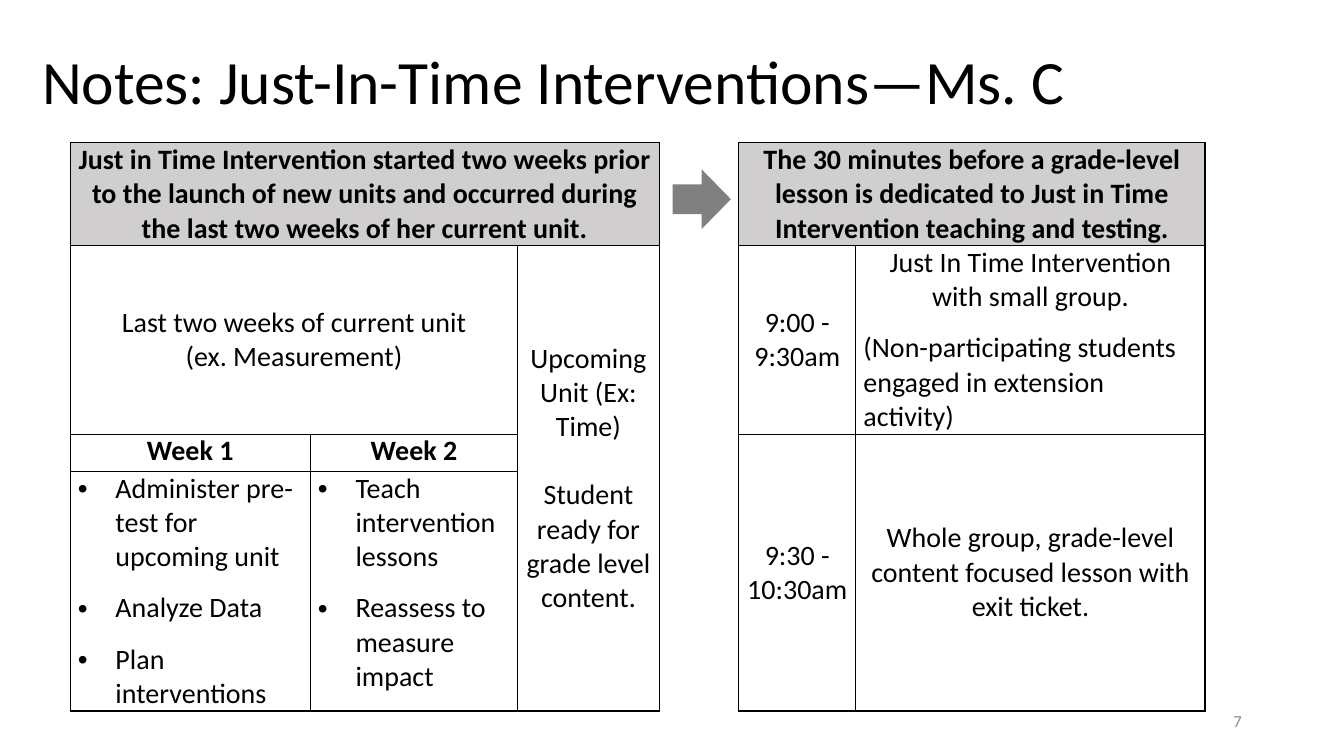
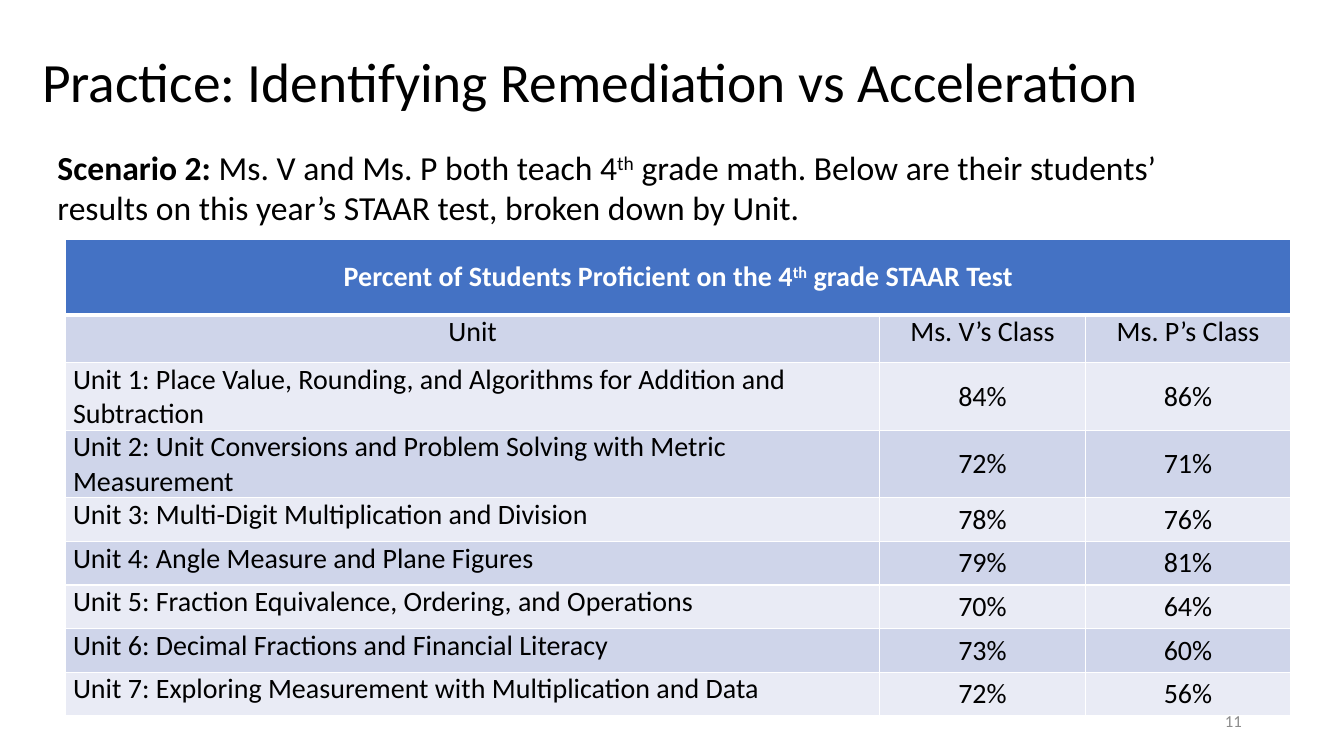
"""Build two slides: an intervention schedule and a table of test results."""
import pptx
import pptx.dml.color
import pptx.enum.shapes
import pptx.enum.text
import pptx.oxml
import pptx.oxml.ns
import pptx.util
from lxml import etree

Cm = pptx.util.Cm
Pt = pptx.util.Pt
RGB = pptx.dml.color.RGBColor
qn = pptx.oxml.ns.qn
LEFT, CENTER, RIGHT = (pptx.enum.text.PP_ALIGN.LEFT, pptx.enum.text.PP_ALIGN.CENTER,
                       pptx.enum.text.PP_ALIGN.RIGHT)
TOP, MIDDLE = pptx.enum.text.MSO_ANCHOR.TOP, pptx.enum.text.MSO_ANCHOR.MIDDLE

BLACK = RGB(0x00, 0x00, 0x00)
WHITE = RGB(0xFF, 0xFF, 0xFF)
GREY_HEAD = RGB(0xD0, 0xCE, 0xCE)
GREY_ARROW = RGB(0x80, 0x80, 0x80)
GREY_NUMBER = RGB(0x8C, 0x8C, 0x8C)
BLUE_HEAD = RGB(0x44, 0x72, 0xC4)
BANDS = [RGB(0xCF, 0xD5, 0xEA), RGB(0xE9, 0xEB, 0xF5)]
INDENT = Cm(0.95)


def write(tf, paras, aligns=(LEFT,), gap=12, bullet=False, line=None, size=20, bold=False, color=BLACK):
    """Write paragraphs; text between carets is superscript, between asterisks bold."""
    tf.word_wrap = True
    for i, text in enumerate(paras):
        p = tf.paragraphs[0] if i == 0 else tf.add_paragraph()
        if bullet:
            pPr = p._p.get_or_add_pPr()
            pPr.set("marL", str(INDENT))
            pPr.set("indent", str(-INDENT))
            etree.SubElement(pPr, qn("a:buFont")).set("typeface", "Arial")
            etree.SubElement(pPr, qn("a:buChar")).set("char", "•")
        fmt = {"alignment": aligns[min(i, len(aligns) - 1)], "line_spacing": line,
               "space_before": Pt(gap if i else 0), "space_after": Pt(0)}
        for name, value in fmt.items():
            setattr(p, name, value)
        for j, strong in enumerate(text.split("*")):
            for k, part in enumerate(strong.split("^")):
                if not part:
                    continue
                r = p.add_run()
                r.text = part
                fmt = {"name": "Calibri", "size": Pt(size), "bold": bold or j % 2 == 1}
                for name, value in fmt.items():
                    setattr(r.font, name, value)
                r.font.color.rgb = color
                if k % 2:
                    r._r.get_or_add_rPr().set("baseline", "30000")


def style_cell(cell, borders, fill=None):
    """Set margins, borders given as {side: (colour, points)}, and fill."""
    fmt = {"margin_left": Cm(0.19), "margin_right": Cm(0.19), "margin_top": 0, "margin_bottom": 0}
    for name, value in fmt.items():
        setattr(cell, name, value)
    tcPr = cell._tc.get_or_add_tcPr()
    for side in "LRTB":
        color, width = borders.get(side, (None, 0))
        ln = etree.SubElement(tcPr, qn("a:ln" + side), w=str(Pt(width)))
        if color is None:
            etree.SubElement(ln, qn("a:noFill"))
        else:
            solid = etree.SubElement(ln, qn("a:solidFill"))
            etree.SubElement(solid, qn("a:srgbClr"), val=str(color))
    if fill is None:
        cell.fill.background()
    else:
        cell.fill.solid()
        cell.fill.fore_color.rgb = fill


prs = pptx.Presentation()
prs.slide_width, prs.slide_height = Cm(33.87), Cm(19.05)

pages = [
    ("Notes: Just-In-Time Interventions—Ms. C", 44, "7",
     (1.77, 3.6), [6.05, 5.23, 3.56, 2.01, 2.95, 8.8], [2.59, 4.75, 0.94, 6.02]),
    ("Practice: Identifying Remediation vs Acceleration", 39.6, "11",
     (1.65, 6.03), [20.52, 5.18, 5.18], [1.9, 1.21, 1.7, 1.7] + [1.1] * 5),
]
slides, tables = [], []
for title, size, number, (x, y), cols, rows in pages:
    s = prs.slides.add_slide(prs.slide_layouts[6])
    slides.append(s)
    frame = s.shapes.add_table(len(rows), len(cols), Cm(x), Cm(y), Cm(sum(cols)), Cm(sum(rows)))
    table = frame.table
    table.first_row = table.horz_banding = False
    for col, width in zip(table.columns, cols):
        col.width = Cm(width)
    for row, height in zip(table.rows, rows):
        row.height = Cm(height)
    tables.append(table)
    for box, text, fmt in [
        ((0.81, 0.66, 29.21, 2.92), title, {"size": size, "line": 0.9}),
        ((23.93, 17.65, 7.62, 1.02), number, {"size": 12, "color": GREY_NUMBER, "aligns": [RIGHT]}),
    ]:
        tf = s.shapes.add_textbox(*map(Cm, box)).text_frame
        tf.vertical_anchor = MIDDLE
        write(tf, [text], **fmt)

schedule, results = tables
GAP_COLUMN = 3
for r in range(4):
    for c in range(6):
        sides = "LR" if c == GAP_COLUMN else "LRTB"
        fill = GREY_HEAD if r == 0 and c != GAP_COLUMN else None
        style_cell(schedule.cell(r, c), {side: (BLACK, 1) for side in sides}, fill)
for first, last in [((0, 0), (0, 2)), ((0, 3), (3, 3)), ((0, 4), (0, 5)), ((1, 0), (1, 1)),
                    ((1, 2), (3, 2)), ((2, 4), (3, 4)), ((2, 5), (3, 5))]:
    schedule.cell(*first).merge(schedule.cell(*last))

head = {"aligns": [CENTER], "bold": True}
body = {"aligns": [CENTER]}
bullets = {"bullet": True}
for r, c, anchor, fmt, paras in [
    (0, 0, TOP, head, ["Just in Time Intervention started two weeks prior to the launch of new units "
                       "and occurred during the last two weeks of her current unit."]),
    (0, 4, TOP, head, ["The 30 minutes before a grade-level lesson is dedicated to "
                       "Just in Time Intervention teaching and testing."]),
    (1, 0, MIDDLE, {**body, "gap": 0}, ["Last two weeks of current unit", "(ex. Measurement)"]),
    (1, 2, MIDDLE, {**body, "gap": 24}, ["Upcoming Unit (Ex: Time)",
                                         "Student ready for grade level content."]),
    (1, 4, MIDDLE, body, ["9:00 - 9:30am"]),
    (1, 5, MIDDLE, {"aligns": [CENTER, LEFT]},
     ["Just In Time Intervention with small group.",
      "(Non-participating students engaged in extension activity)"]),
    (2, 0, TOP, head, ["Week 1"]),
    (2, 1, TOP, head, ["Week 2"]),
    (2, 4, MIDDLE, body, ["9:30 - 10:30am"]),
    (2, 5, MIDDLE, body, ["Whole group, grade-level content focused lesson with exit ticket."]),
    (3, 0, TOP, bullets, ["Administer pre-test for upcoming unit", "Analyze Data",
                          "Plan interventions"]),
    (3, 1, TOP, bullets, ["Teach intervention lessons", "Reassess to measure impact"]),
]:
    cell = schedule.cell(r, c)
    cell.vertical_anchor = anchor
    write(cell.text_frame, paras, **fmt)

sp = slides[0].shapes.add_shape(pptx.enum.shapes.MSO_SHAPE.RIGHT_ARROW,
                                Cm(16.95), Cm(4.27), Cm(1.47), Cm(1.5))
sp.shadow.inherit = False
sp.fill.solid()
sp.fill.fore_color.rgb = GREY_ARROW
sp.line.fill.background()

tf = slides[1].shapes.add_textbox(Cm(1.2), Cm(3.58), Cm(29.9), Cm(2.31)).text_frame
write(tf, ["*Scenario 2: *Ms. V and Ms. P both teach 4^th^ grade math. Below are their students’ "
           "results on this year’s STAAR test, broken down by Unit."], size=24)

scores = [
    ("Percent of Students Proficient on the 4^th^ grade STAAR Test", "", ""),
    ("Unit", "Ms. V’s Class", "Ms. P’s Class"),
    ("Unit 1: Place Value, Rounding, and Algorithms for Addition and Subtraction", "84%", "86%"),
    ("Unit 2: Unit Conversions and Problem Solving with Metric Measurement", "72%", "71%"),
    ("Unit 3: Multi-Digit Multiplication and Division", "78%", "76%"),
    ("Unit 4: Angle Measure and Plane Figures", "79%", "81%"),
    ("Unit 5: Fraction Equivalence, Ordering, and Operations", "70%", "64%"),
    ("Unit 6: Decimal Fractions and Financial Literacy", "73%", "60%"),
    ("Unit 7: Exploring Measurement with Multiplication and Data", "72%", "56%"),
]
for r, row in enumerate(scores):
    borders = {side: (WHITE, 1) for side in "LRTB"}
    if r < 2:
        borders["BT"[r]] = (WHITE, 3)
    for c, text in enumerate(row):
        cell = results.cell(r, c)
        style_cell(cell, borders, BANDS[(r - 1) % 2] if r else BLUE_HEAD)
        cell.vertical_anchor = MIDDLE if r == 0 or (r > 1 and c > 0) else TOP
        if text:
            write(cell.text_frame, [text], aligns=[LEFT if r > 1 and c == 0 else CENTER],
                  bold=r == 0, color=BLACK if r else WHITE)
results.cell(0, 0).merge(results.cell(0, 2))

prs.save("out.pptx")
